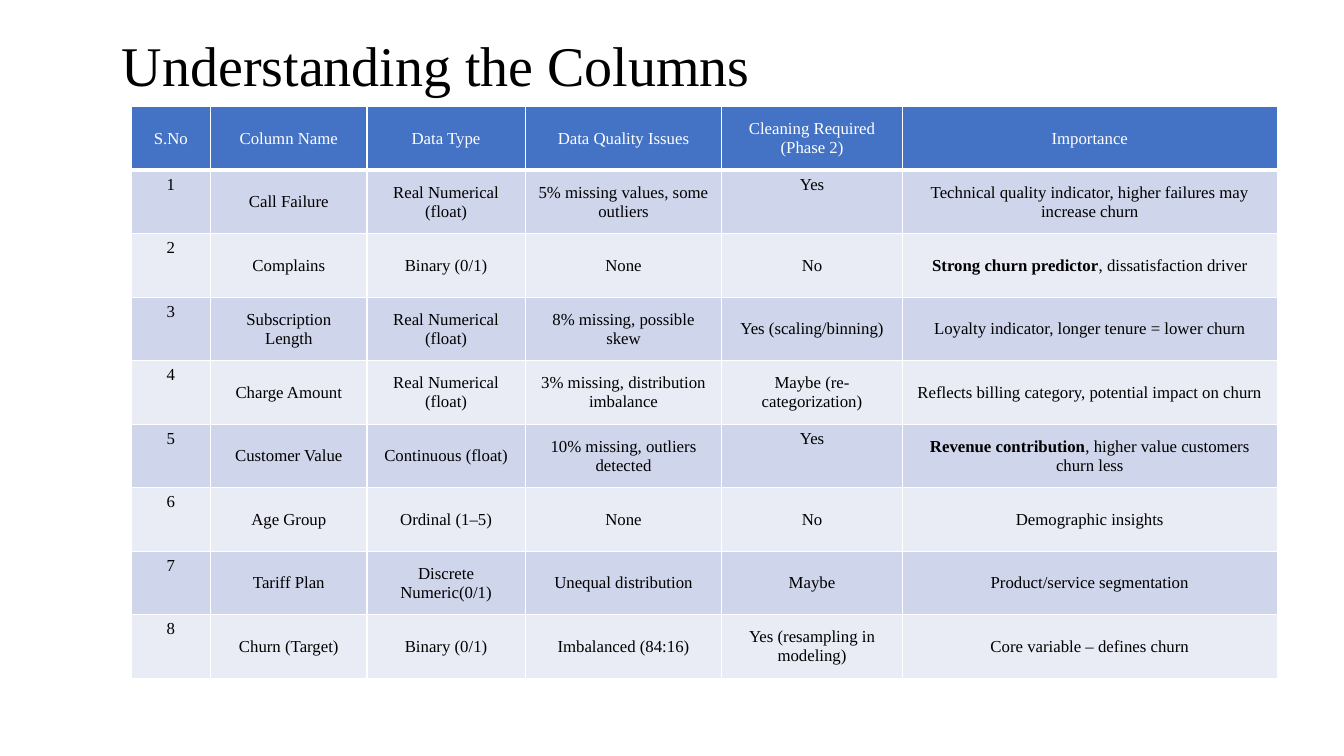
"""Build a slide that describes the columns of a customer churn dataset."""
from lxml import etree
from pptx import Presentation
from pptx import util as u
from pptx.dml import color
from pptx.enum import text
from pptx.oxml import ns

FONT = "Times New Roman"
COLORS = {
    "ink": "000000",
    "paper": "FFFFFF",
    "header": "4472C4",
    "odd": "CFD5EA",
    "even": "E9EBF5",
}
COLUMN_WIDTHS = [0.79, 1.55, 1.57, 1.95, 1.79, 3.72]
ROW_HEIGHT = 0.63
HEADINGS = ["S.No", "Column Name", "Data Type", "Data Quality Issues",
            "Cleaning Required (Phase 2)", "Importance"]
FEATURES = [
    ["Call Failure", "Real Numerical (float)", "5% missing values, some outliers", "Yes",
     "Technical quality indicator, higher failures may increase churn"],
    ["Complains", "Binary (0/1)", "None", "No",
     ("Strong churn predictor", ", dissatisfaction driver")],
    ["Subscription Length", "Real Numerical (float)", "8% missing, possible skew",
     "Yes (scaling/binning)", "Loyalty indicator, longer tenure = lower churn"],
    ["Charge Amount", "Real Numerical (float)", "3% missing, distribution imbalance",
     "Maybe (re-categorization)", "Reflects billing category, potential impact on churn"],
    ["Customer Value", "Continuous (float)", "10% missing, outliers detected", "Yes",
     ("Revenue contribution", ", higher value customers churn less")],
    ["Age Group", "Ordinal (1–5)", "None", "No", "Demographic insights"],
    ["Tariff Plan", "Discrete Numeric(0/1)", "Unequal distribution", "Maybe",
     "Product/service segmentation"],
    ["Churn (Target)", "Binary (0/1)", "Imbalanced (84:16)",
     "Yes (resampling in modeling)", "Core variable – defines churn"],
]


def rgb(name):
    return color.RGBColor.from_string(COLORS[name])


def add_run(paragraph, wording, size, ink, bold=False):
    run = paragraph.add_run()
    run.text = wording
    run.font.name = FONT
    run.font.size = u.Pt(size)
    run.font.bold = bold
    run.font.color.rgb = rgb(ink)


def set_borders(cell, bottom_width):
    properties = cell._tc.get_or_add_tcPr()
    for side, width in (("L", 1), ("R", 1), ("T", 1), ("B", bottom_width)):
        border = etree.SubElement(properties, ns.qn(f"a:ln{side}"), w=str(u.Pt(width)))
        fill = etree.SubElement(border, ns.qn("a:solidFill"))
        etree.SubElement(fill, ns.qn("a:srgbClr"), val=COLORS["paper"])


def fill_cell(cell, content, background, ink="ink", centred=True, bottom_width=1):
    set_borders(cell, bottom_width)
    cell.fill.solid()
    cell.fill.fore_color.rgb = rgb(background)
    cell.vertical_anchor = text.MSO_ANCHOR.MIDDLE if centred else text.MSO_ANCHOR.TOP
    paragraph = cell.text_frame.paragraphs[0]
    paragraph.alignment = text.PP_ALIGN.CENTER
    if isinstance(content, tuple):
        emphasis, content = content
        add_run(paragraph, emphasis, 12, ink, bold=True)
    add_run(paragraph, content, 12, ink)


def set_title(slide, wording):
    title = slide.shapes.title
    title.left, title.top = u.Inches(1.11), u.Inches(0.3)
    title.width, title.height = u.Inches(11.37), u.Inches(0.76)
    frame = title.text_frame
    frame.auto_size = text.MSO_AUTO_SIZE.NONE
    frame.vertical_anchor = text.MSO_ANCHOR.MIDDLE
    paragraph = frame.paragraphs[0]
    paragraph.alignment = text.PP_ALIGN.JUSTIFY
    paragraph.line_spacing = 0.9
    add_run(paragraph, wording, 40, "ink")


def add_feature_table(slide):
    row_count = len(FEATURES) + 1
    table = slide.shapes.add_table(
        row_count, len(HEADINGS), u.Inches(1.3), u.Inches(1.06),
        u.Inches(sum(COLUMN_WIDTHS)), u.Inches(ROW_HEIGHT * row_count)).table
    for column, width in zip(table.columns, COLUMN_WIDTHS):
        column.width = u.Inches(width)
    for row in table.rows:
        row.height = u.Inches(ROW_HEIGHT)
    for index, heading in enumerate(HEADINGS):
        fill_cell(table.cell(0, index), heading, "header", ink="paper", bottom_width=3)
    for number, feature in enumerate(FEATURES, start=1):
        band = "odd" if number % 2 else "even"
        for index, content in enumerate([str(number), *feature]):
            centred = index > 0 and content != "Yes"
            fill_cell(table.cell(number, index), content, band, centred=centred)


def main():
    deck = Presentation()
    deck.slide_width, deck.slide_height = u.Inches(13.33), u.Inches(7.5)
    slide = deck.slides.add_slide(deck.slide_layouts[5])
    set_title(slide, "Understanding the Columns")
    add_feature_table(slide)
    deck.save("out.pptx")


if __name__ == "__main__":
    main()
